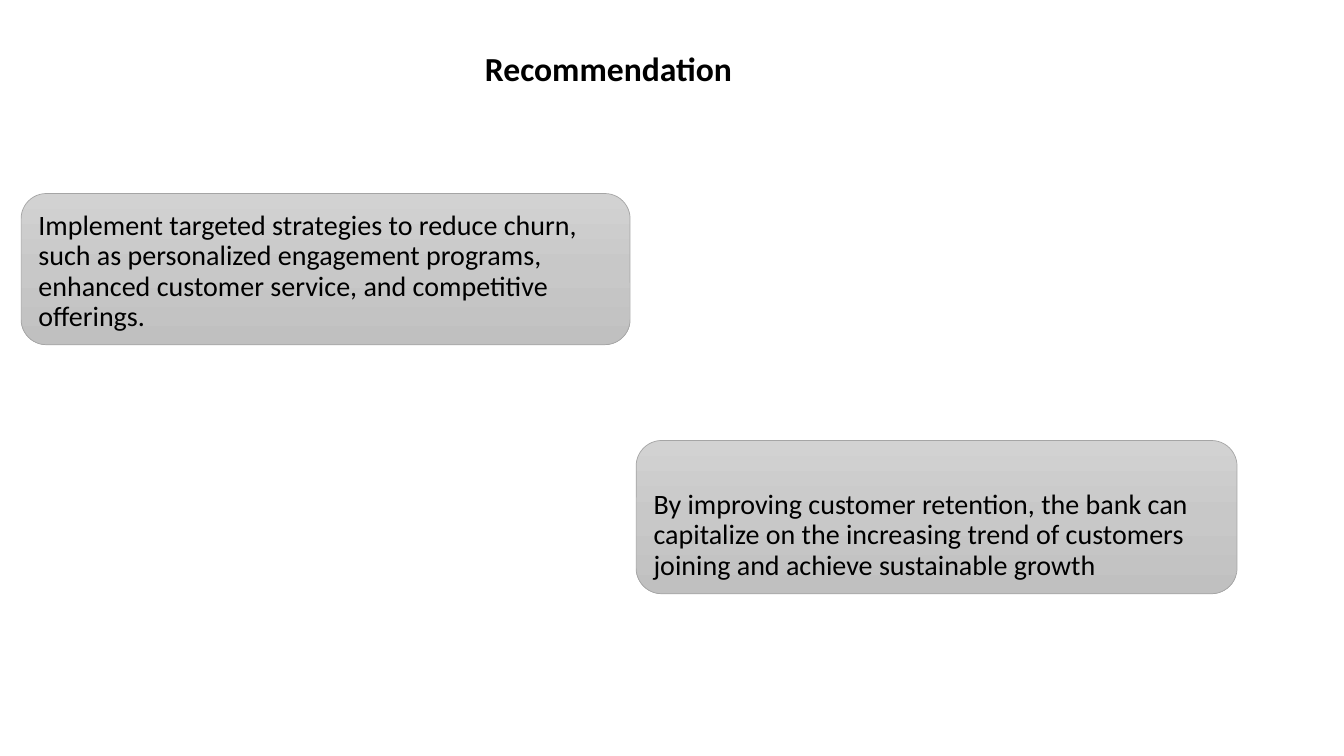
from copy import deepcopy
from dataclasses import dataclass

from pptx import Presentation
from pptx.dml.color import RGBColor
from pptx.enum.shapes import MSO_SHAPE
from pptx.enum.text import MSO_ANCHOR, PP_ALIGN
from pptx.oxml.ns import qn
from pptx.util import Inches, Pt


@dataclass(frozen=True)
class Theme:
    font: str = "Calibri"
    ink: str = "000000"
    outline: str = "A5A5A5"
    gradient: tuple = ((0, "D2D2D2"), (0.5, "C8C8C8"), (1, "C0C0C0"))
    title_size: int = 24
    body_size: int = 20


theme = Theme()


def write_text(frame, text, size, bold, frame_format, para_format):
    for name, value in frame_format.items():
        setattr(frame, name, value)
    para = frame.paragraphs[0]
    for name, value in para_format.items():
        setattr(para, name, value)
    span = para.add_run()
    span.text = text
    for name, value in {"name": theme.font, "size": Pt(size), "bold": bold}.items():
        setattr(span.font, name, value)
    span.font.color.rgb = RGBColor.from_string(theme.ink)


# Deck and page
deck = Presentation()
deck.slide_width, deck.slide_height = Inches(13.33), Inches(7.5)
page = deck.slides.add_slide(deck.slide_layouts[5])

# Title
title = page.shapes.title
title_place = {"left": 4.71, "top": 0.49, "width": 4.32, "height": 0.79}
for name, value in title_place.items():
    setattr(title, name, Inches(value))
write_text(
    title.text_frame, "Recommendation", theme.title_size, True,
    {"word_wrap": True, "vertical_anchor": MSO_ANCHOR.TOP, "margin_top": Inches(0.03)},
    {"alignment": PP_ALIGN.LEFT, "line_spacing": 0.9},
)

# Recommendation boxes
recommendations = [
    ((0.21, 1.92, 6.04, 1.5),
     "Implement targeted strategies to reduce churn, such as personalized engagement "
     "programs, enhanced customer service, and competitive offerings."),
    ((6.31, 4.37, 5.96, 1.52),
     "By improving customer retention, the bank can capitalize on the increasing trend "
     "of customers joining and achieve sustainable growth"),
]
for place, text in recommendations:
    box = page.shapes.add_shape(MSO_SHAPE.ROUNDED_RECTANGLE, *map(Inches, place))
    box.shadow.inherit = False
    box.line.color.rgb = RGBColor.from_string(theme.outline)
    box.line.width = Pt(0.5)

    # Vertical gradient with a third stop in the middle
    box.fill.gradient()
    box.fill.gradient_angle = 270
    stop_list = box._element.spPr.find(qn("a:gradFill")).find(qn("a:gsLst"))
    stop_list.append(deepcopy(stop_list[0]))
    for stop, (position, color) in zip(box.fill.gradient_stops, theme.gradient):
        stop.position = position
        stop.color.rgb = RGBColor.from_string(color)

    write_text(
        box.text_frame, text, theme.body_size, False,
        {"word_wrap": True, "vertical_anchor": MSO_ANCHOR.BOTTOM},
        {"alignment": PP_ALIGN.LEFT, "line_spacing": 0.9},
    )

deck.save("out.pptx")
